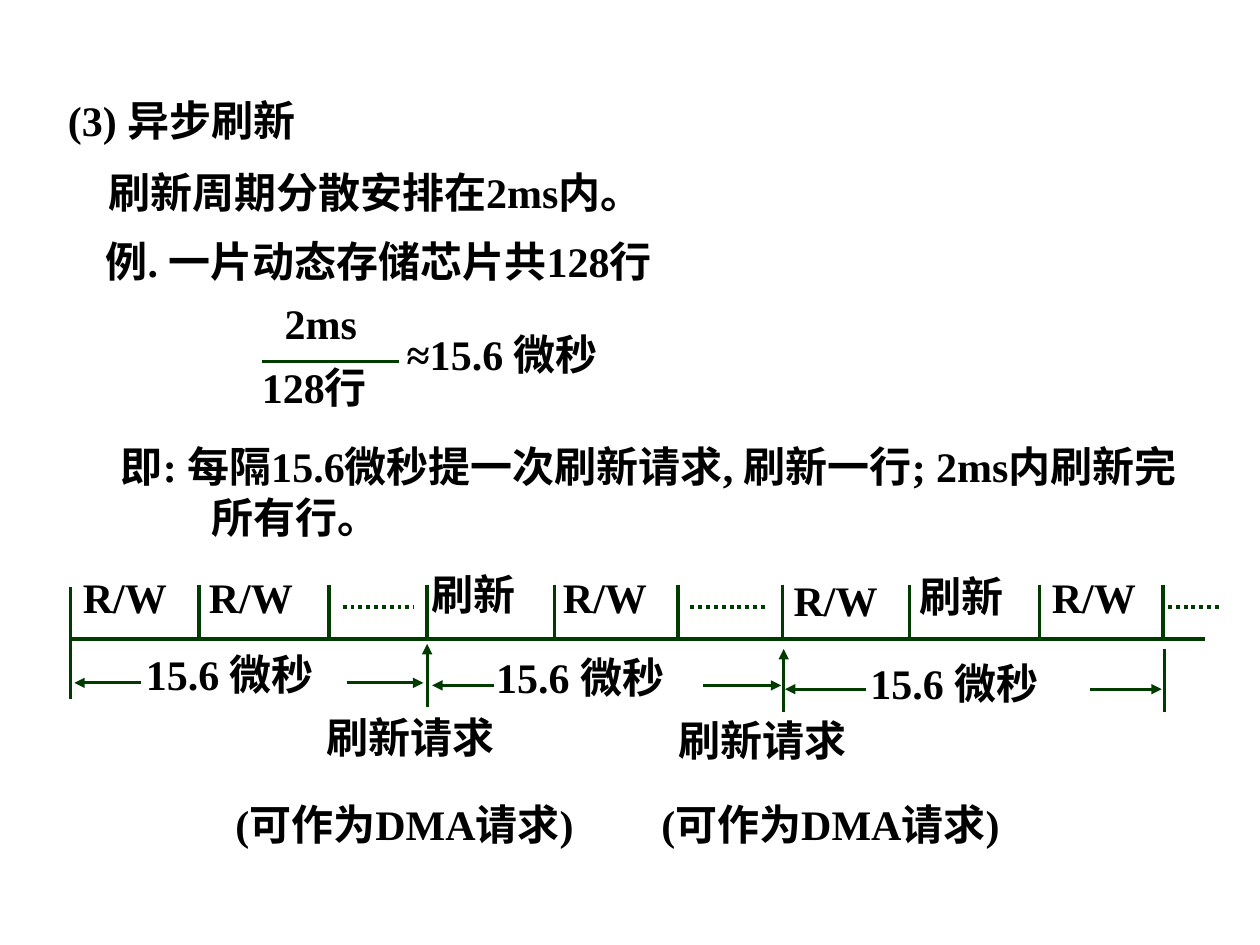
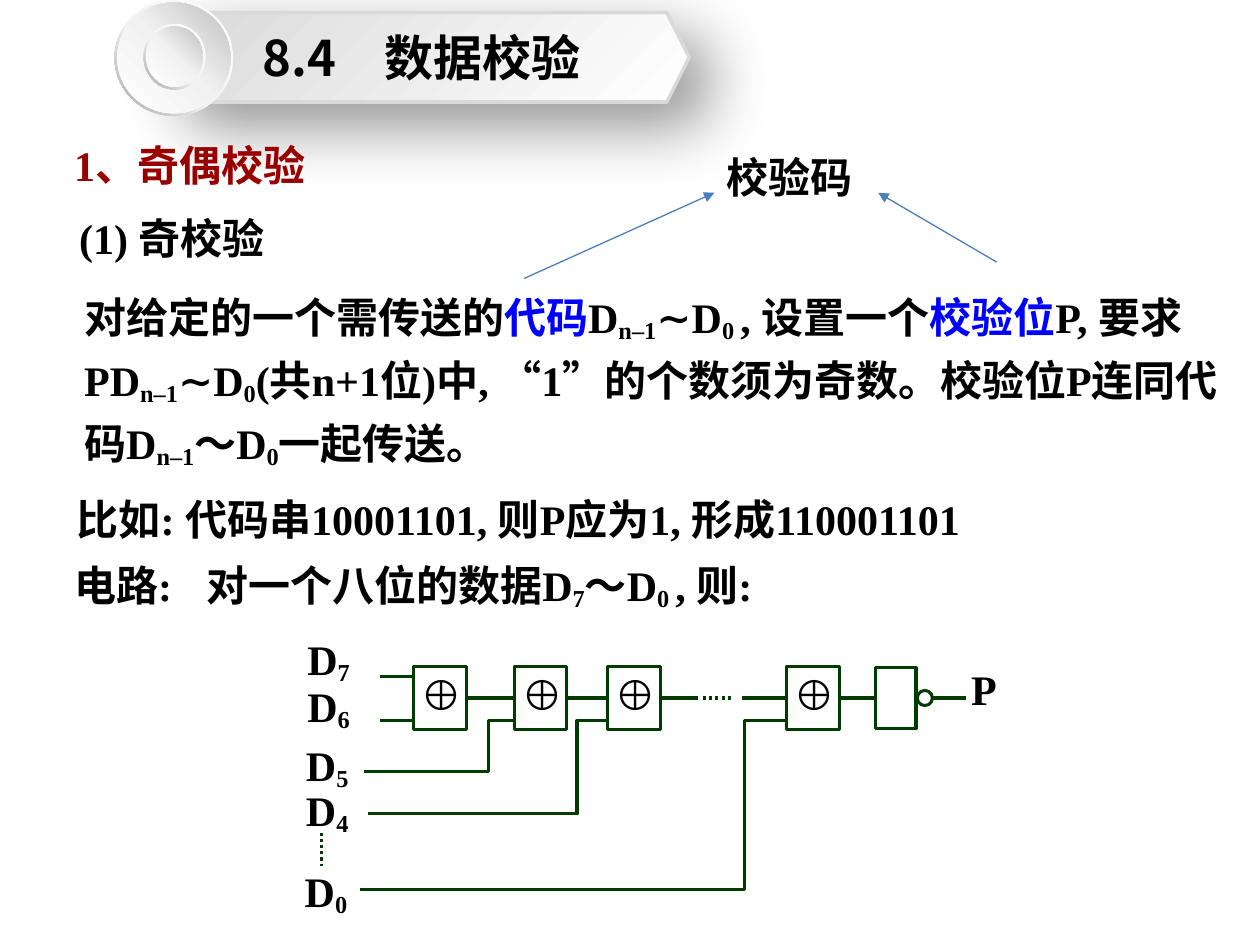
import dataclasses
import itertools

import lxml.etree
import pptx
import pptx.dml.color
import pptx.enum.dml
import pptx.enum.shapes
import pptx.enum.text
import pptx.oxml.ns
import pptx.util

PX = 9144
SHAPE = pptx.enum.shapes.MSO_SHAPE
QN = pptx.oxml.ns.qn


@dataclasses.dataclass(frozen=True)
class Theme:
    """Colours, fonts and sizes shared by the slides."""
    ink: str = "000000"
    heading: str = "990000"
    accent: str = "0000FF"
    wire: str = "003C00"
    callout: str = "4B7EBC"
    edge: str = "D9D9D9"
    banner: tuple = ((0, "FFFFFF"), (100, "D9D9D9"))
    ring: tuple = ((0, "FFFFFF"), (55, "F2F2F2"), (100, "A6A6A6"))
    disc: tuple = ((0, "FFFFFF"), (51, "F2F2F2"), (100, "BFBFBF"))
    latin: str = "Times New Roman"
    han: str = "Noto Sans CJK SC"
    body: int = 24
    title: int = 28
    thin: float = 0.75
    signal: float = 1.75
    axis: float = 2
    dots: float = 2.25


THEME = Theme()


def rgb(colour):
    """Turn a hex string into a colour."""
    return pptx.dml.color.RGBColor.from_string(colour)


def add_child(parent, tag, **attributes):
    """Append a drawing element with attributes."""
    return lxml.etree.SubElement(parent, QN(tag), {k: str(v) for k, v in attributes.items()})


def style_run(run, colour, size=THEME.body, latin=THEME.latin, subscript=False):
    """Give a run its font, size, colour and baseline."""
    run.font.size = pptx.util.Pt(size)
    run.font.bold = True
    run.font.color.rgb = rgb(colour)
    run.font.name = latin
    properties = run._r.get_or_add_rPr()
    add_child(properties, "a:ea", typeface=THEME.han)
    if subscript:
        properties.set("baseline", "-14000")


def fill_gradient(shape, stops, angle):
    """Fill a shape with a linear gradient."""
    shape.fill.gradient()
    gradient = shape.element.spPr.find(QN("a:gradFill"))
    stop_list = gradient.find(QN("a:gsLst"))
    for stop in list(stop_list):
        stop_list.remove(stop)
    for position, colour in stops:
        add_child(add_child(stop_list, "a:gs", pos=position * 1000), "a:srgbClr", val=colour)
    gradient.find(QN("a:lin")).set("ang", str(angle * 60000))


class Region:
    """A box on a slide whose parts are placed from its top left corner."""

    def __init__(self, slide, left, top):
        """Remember the slide's shapes and the corner."""
        self.shapes, self.left, self.top = slide.shapes, left, top

    def at(self, x, y):
        """Turn a point of the box into slide lengths."""
        return (self.left + x) * PX, (self.top + y) * PX

    def text(self, x, y, width, *lines, height=50, colour=THEME.ink):
        """Add a text box; a line is a string or a list of (text, style) pieces."""
        box = self.shapes.add_textbox(*self.at(x, y), width * PX, height * PX)
        frame = box.text_frame
        frame.word_wrap = True
        frame.auto_size = pptx.enum.text.MSO_AUTO_SIZE.SHAPE_TO_FIT_TEXT
        for index, line in enumerate(lines):
            paragraph = frame.add_paragraph() if index else frame.paragraphs[0]
            for piece, style in [(line, "")] if isinstance(line, str) else line:
                run = paragraph.add_run()
                run.text = piece
                style_run(run, THEME.accent if style == "accent" else colour,
                          subscript=style == "sub")
        return frame.paragraphs

    def line(self, x1, y1, x2, y2, weight=THEME.signal, colour=THEME.wire,
             dotted=False, arrow=False):
        """Add a straight line, with an arrowhead at its end if wanted."""
        connector = self.shapes.add_connector(
            pptx.enum.shapes.MSO_CONNECTOR.STRAIGHT, *self.at(x1, y1), *self.at(x2, y2))
        connector.line.color.rgb = rgb(colour)
        connector.line.width = pptx.util.Pt(weight)
        if dotted:
            connector.line.dash_style = pptx.enum.dml.MSO_LINE.ROUND_DOT
        if arrow:
            add_child(connector.line._get_or_add_ln(), "a:tailEnd", type="triangle")
        add_child(connector._element.spPr, "a:effectLst")
        return connector

    def shape(self, kind, x, y, width, height):
        """Add a preset shape without shadow."""
        shape = self.shapes.add_shape(kind, *self.at(x, y), width * PX, height * PX)
        shape.shadow.inherit = False
        return shape

    def outline(self, shape):
        """Leave a circuit part hollow with a signal-coloured line."""
        shape.shadow.inherit = False
        shape.fill.background()
        shape.line.color.rgb = rgb(THEME.wire)
        shape.line.width = pptx.util.Pt(THEME.signal)
        return shape

    def polyline(self, points):
        """Add an open outline through the points."""
        start, *others = [(self.left + x, self.top + y) for x, y in points]
        builder = self.shapes.build_freeform(*start, scale=PX)
        builder.add_line_segments(others, close=False)
        return self.outline(builder.convert_to_shape())


def add_refresh_notes(slide, left, top):
    """Place the statements on asynchronous refresh."""
    notes = Region(slide, left, top)
    notes.text(0, 0, 318, "(3) 异步刷新")
    notes.text(32, 57, 562, "刷新周期分散安排在2ms内。")
    notes.text(30, 112, 601, "例. 一片动态存储芯片共128行")
    conclusion = notes.text(
        42, 275, 871, "即: 每隔15.6微秒提一次刷新请求, 刷新一行; 2ms内刷新完所有行。", height=91)[0]
    properties = conclusion._p.get_or_add_pPr()
    properties.set("marL", str(72 * PX))
    properties.set("indent", str(-72 * PX))


def add_interval_formula(slide, left, top):
    """Place the fraction that gives the refresh interval."""
    formula = Region(slide, left, top)
    formula.text(18, 0, 108, "2ms")
    formula.line(10, 56, 119, 56, THEME.axis)
    formula.text(0, 51, 142, "128行")
    formula.text(115, 25, 277, "≈15.6 微秒")


def add_refresh_timeline(slide, left, top):
    """Place the time axis with its cycles, intervals and requests."""
    timeline = Region(slide, left, top)
    axis_y, tick_top, dots_y = 61, 18, 36
    timeline.line(0, axis_y, 900, axis_y, THEME.axis)
    timeline.line(0, tick_top + 2, 0, 109, THEME.axis)
    for tick in (102, 205, 283, 384, 482, 565, 666, 769, 867):
        timeline.line(tick, tick_top, tick, axis_y, THEME.axis)
    for start, end in ((216, 272), (492, 554), (871, 913)):
        timeline.line(start, dots_y, end, dots_y, THEME.dots, dotted=True)
    for x, y, cycle in ((0, 3, "R/W"), (100, 3, "R/W"), (277, 0, "刷新"), (381, 3, "R/W"),
                        (564, 5, "R/W"), (664, 2, "刷新"), (769, 3, "R/W")):
        timeline.text(x, y, 110, cycle)

    for label_x, label_y, y, back, forward in (
            (50, 64, 96, (56, 3), (219, 280)),
            (328, 66, 98, (336, 287), (502, 564)),
            (625, 71, 101, (631, 567), (809, 866))):
        timeline.text(label_x, label_y, 187, "15.6 微秒")
        for start, end in (back, forward):
            timeline.line(start, y, end, y, arrow=True)

    for mark, mark_top, label_x, label_y, note_x, note_width in (
            (283, 65, 193, 114, 121, 366), (566, 69, 473, 116, 459, 350)):
        timeline.line(mark, mark_top + 50, mark, mark_top, arrow=True)
        timeline.text(label_x, label_y, 215, "刷新请求")
        timeline.text(note_x, 183, note_width, "(可作为DMA请求)")
    timeline.line(868, 69, 868, 119)


def add_title_banner(slide, left, top):
    """Place the section title on its banner with the round knob."""
    banner = Region(slide, left, top)
    plate = banner.shape(SHAPE.HEXAGON, 31, 10, 425, 71)
    fill_gradient(plate, THEME.banner, 225)
    plate.line.color.rgb = rgb(THEME.edge)
    plate.line.width = pptx.util.Pt(THEME.axis)
    shadow = add_child(plate.element.spPr.find(QN("a:effectLst")), "a:outerShdw",
                       blurRad=38 * 12700, dist=19 * 12700, dir=45 * 60000, rotWithShape=0)
    add_child(add_child(shadow, "a:srgbClr", val=THEME.ink), "a:alpha", val=42000)

    frame = plate.text_frame
    frame.text = "8.4　数据校验"
    frame.vertical_anchor = pptx.enum.text.MSO_ANCHOR.MIDDLE
    frame.paragraphs[0].alignment = pptx.enum.text.PP_ALIGN.CENTER
    style_run(frame.paragraphs[0].runs[0], THEME.ink, THEME.title, THEME.han)

    for x, y, width, height in ((0, 0, 94, 92), (23, 19, 49, 52)):
        ring = banner.shape(SHAPE.DONUT, x, y, width, height)
        ring.adjustments[0] = 0.05
        fill_gradient(ring, THEME.ring, 135)
        disc = banner.shape(SHAPE.OVAL, x + 2, y + 2, width - 4, height - 4)
        fill_gradient(disc, THEME.disc, 315)
        for part in (ring, disc):
            part.line.fill.background()


def add_parity_notes(slide, left, top):
    """Place the explanation of odd parity."""
    notes = Region(slide, left, top)
    notes.text(0, 0, 307, "1、奇偶校验", colour=THEME.heading)
    notes.text(4, 58, 455, "(1) 奇校验")
    rule = notes.text(8, 112, 943, [
        ("对给定的一个需传送的", ""), ("代码", "accent"), ("D", ""), ("n–1", "sub"),
        ("∼D", ""), ("0 ", "sub"), (", 设置一个", ""), ("校验位", "accent"),
        ("P, 要求PD", ""), ("n–1", "sub"), ("∼D", ""), ("0", "sub"),
        ("(共n+1位)中, “1”的个数须为奇数。校验位P连同代码D", ""), ("n–1", "sub"),
        ("～D", ""), ("0", "sub"), ("一起传送。", "")], height=151)[0]
    rule.line_spacing = 1.2
    notes.text(2, 281, 929, "比如: 代码串10001101, 则P应为1, 形成110001101")
    notes.text(0, 333, 201, "电路:")
    notes.text(105, 333, 593, [("对一个八位的数据D", ""), ("7", "sub"), ("～D", ""),
                               ("0 ", "sub"), (", 则:", "")])


def add_check_code_callout(slide, left, top):
    """Place the check code label and the arrows that lead to it."""
    callout = Region(slide, left, top)
    callout.text(151, 0, 147, "校验码")
    for start_x, start_y, end_x in ((0, 106, 151), (375, 93, 281)):
        callout.line(start_x, start_y, end_x, 38, THEME.thin, THEME.callout, arrow=True)


def add_parity_circuit(slide, left, top):
    """Place the chain of exclusive-or gates that yields the parity bit."""
    circuit = Region(slide, left, top)
    axis_y, tap_y = 56, 74

    def data_bit(number):
        return [("D", ""), (number, "sub")]

    circuit.text(2, 0, 91, data_bit("7"), data_bit("6"), height=85)[1].line_spacing = 0.85
    for x, y, number in ((1, 84, "5"), (1, 120, "4"), (0, 184, "0")):
        circuit.text(x, y, 91, data_bit(number))
    circuit.line(23, 163, 23, 189, dotted=True)

    gates = []
    for x in (96, 176, 250, 392):
        circuit.text(x - 4, 28, 49, "⊕")
        gates.append(circuit.outline(circuit.shape(SHAPE.RECTANGLE, x, 31, 42, 50)))
    inverter = circuit.outline(circuit.shape(SHAPE.RECTANGLE, 463, 32, 32, 48))
    circuit.outline(circuit.shape(SHAPE.OVAL, 496, 50, 12, 12))

    for y in (39, tap_y):
        circuit.line(70, y, 96, y)
    for gate_x, bend_x, bit_y, bit_x in (
            (176, 156, 114, 57), (250, 226, 148, 60), (392, 359, 208, 54)):
        circuit.polyline([(gate_x, tap_y), (bend_x, tap_y), (bend_x, bit_y), (bit_x, bit_y)])

    for source, target in itertools.chain(itertools.pairwise(gates[:3]), [(gates[3], inverter)]):
        link = circuit.line(0, axis_y, 1, axis_y)
        link.begin_connect(source, 3)
        link.end_connect(target, 1)
    circuit.line(292, axis_y, 322, axis_y).begin_connect(gates[2], 3)
    circuit.line(326, axis_y, 350, axis_y, dotted=True)
    circuit.line(357, axis_y, 392, axis_y).end_connect(gates[3], 1)
    circuit.line(508, axis_y, 535, axis_y)
    circuit.text(529, 24, 41, "P")


def main():
    """Build both slides and save them."""
    deck = pptx.Presentation()
    deck.slide_width, deck.slide_height = 1000 * PX, 750 * PX
    refresh, parity = (deck.slides.add_slide(deck.slide_layouts[6]) for _ in range(2))

    add_refresh_notes(refresh, 44, 70)
    add_interval_formula(refresh, 198, 231)
    add_refresh_timeline(refresh, 56, 446)

    add_title_banner(parity, 91, 0)
    add_parity_notes(parity, 49, 106)
    add_check_code_callout(parity, 416, 115)
    add_parity_circuit(parity, 232, 498)
    deck.save("out.pptx")


if __name__ == "__main__":
    main()
